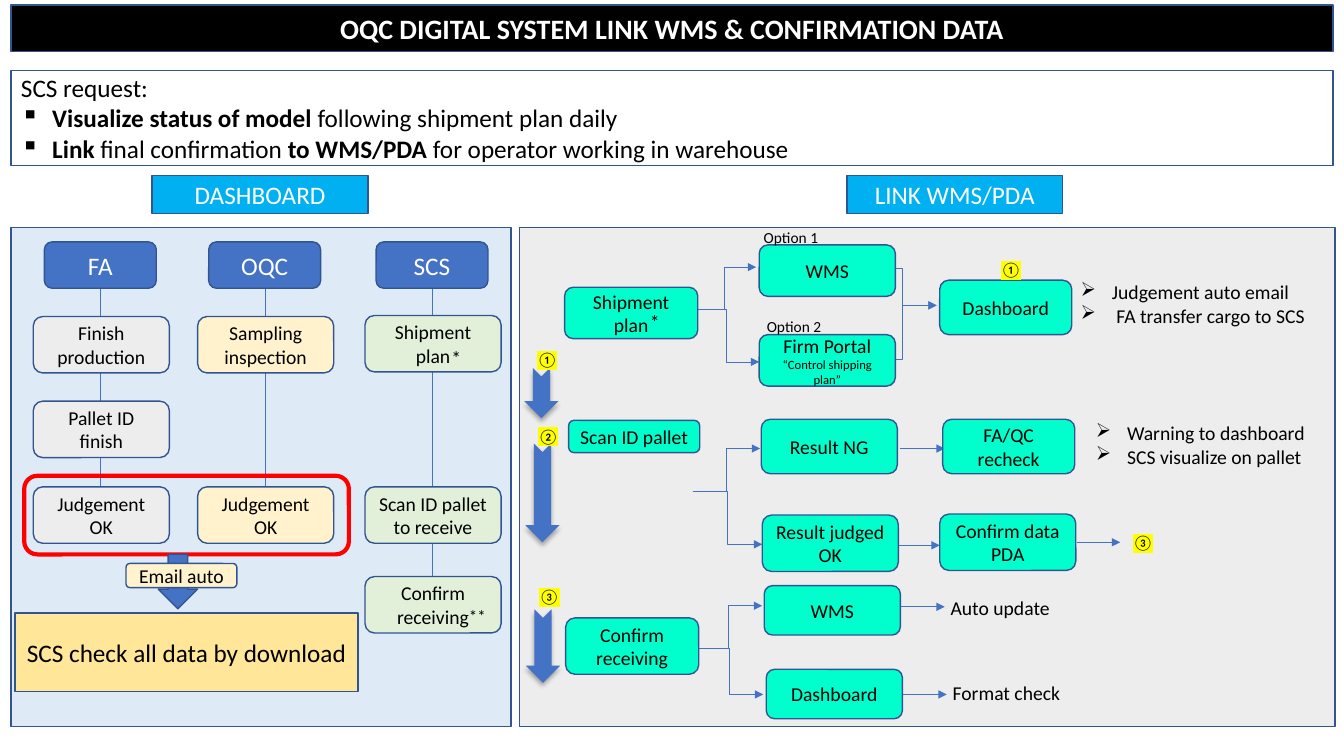
from lxml import etree
from pptx import Presentation
from pptx.dml.color import RGBColor as RGB
from pptx.enum.shapes import MSO_CONNECTOR as Link, MSO_SHAPE as Kind
from pptx.enum.text import MSO_ANCHOR as Anchor, PP_ALIGN as Align
from pptx.oxml.ns import qn
from pptx.util import Inches, Pt

HUES = {
    "black": "000000", "white": "FFFFFF", "navy": "325491", "blue": "4472C4",
    "sky": "00B0F0", "pale": "DEEBF7", "gray": "EDEDED", "cream": "FFF2CC",
    "green": "E2F0D9", "gold": "FFE699", "mint": "00FFCC", "red": "FF0000",
    "yellow": "FFFF00",
}

TITLE = "OQC DIGITAL SYSTEM LINK WMS & CONFIRMATION DATA"
REQUEST = [
    [("Visualize status of model ", True), ("following shipment plan daily", False)],
    [("Link", True), (" final confirmation ", False), ("to WMS/PDA ", True),
     ("for operator working in warehouse", False)],
]
HEADS = [("DASHBOARD", 1.51), ("LINK WMS/PDA", 8.4)]

# head, centre, fill, end of the stem, steps as (text, top)
LANES = [
    ("FA", 1.0, "gray", 5.34,
     [("Finish production", 3.14), ("Pallet ID finish", 3.98), ("Judgement OK", 4.83)]),
    ("OQC", 2.63, "cream", 5.34,
     [("Sampling inspection", 3.14), ("Judgement OK", 4.83)]),
    ("SCS", 4.29, "green", 6.18,
     [("Shipment plan", 3.13), ("Scan ID pallet to receive", 4.83),
      ("Confirm receiving", 5.72)]),
]

# text, left, top, width, height
NODES = [
    ("Shipment plan", 5.6, 2.85, 1.32, 0.51),
    ("WMS", 7.53, 2.43, 1.35, 0.51),
    ("Dashboard", 9.32, 2.78, 1.31, 0.54),
    ("Scan ID pallet", 5.64, 4.17, 1.3, 0.32),
    ("Result NG", 7.55, 4.16, 1.35, 0.54),
    ("FA/QC recheck", 9.35, 4.16, 1.31, 0.54),
    ("Result judged OK", 7.56, 5.11, 1.35, 0.56),
    ("Confirm data PDA", 9.32, 5.1, 1.35, 0.56),
    ("Confirm receiving", 5.61, 6.13, 1.32, 0.56),
    ("WMS", 7.58, 5.81, 1.35, 0.49),
    ("Dashboard", 7.6, 6.64, 1.35, 0.49),
]
PORTAL = ("Firm Portal", "“Control shipping plan”")
OPTIONS = [("Option 1", 7.34, 2.24), ("Option 2", 7.37, 3.12)]

# start, two ends, share of the width before the bend
FORKS = [
    ((6.87, 3.07), (7.5, 2.65), (7.53, 3.59), 0.5),
    ((6.87, 4.87), (7.54, 4.45), (7.56, 5.4), 0.5),
    ((6.89, 6.43), (7.56, 6.01), (7.57, 6.89), 0.5),
]
MERGE = [((8.88, 2.66), (9.29, 3.03)), ((8.88, 3.57), (9.29, 3.03))]
ARROWS = [(8.93, 9.37, 4.45), (8.89, 9.32, 5.41), (10.68, 11.11, 5.38),
          (8.93, 9.37, 6.02), (8.95, 9.39, 6.89)]

MARKS = [("①", 5.17, 3.41), ("②", 5.18, 4.17), ("③", 5.19, 5.76),
         ("①", 9.77, 2.52), ("③", 11.08, 5.23)]
STARS = [("*", 4.32, 3.39, 0.4, 0.31, 14), ("*", 6.29, 3.04, 0.4, 0.31, 14),
         ("**", 4.45, 5.97, 0.57, 0.27, 12)]
PHASES = [(5.12, 3.73, 0.5), (4.89, 4.72, 0.98), (5.02, 6.24, 0.73)]

NOTES = [
    (["Judgement auto email", " FA transfer cargo to SCS"], "➢", 10.62, 2.62, 2.57, 0.78),
    (["Warning to dashboard", "SCS visualize on pallet"], "➢", 10.77, 4.02, 2.45, 0.78),
    (["Auto update"], None, 9.33, 5.74, 1.43, 0.57),
    (["Format check"], None, 9.35, 6.65, 1.38, 0.45),
]

deck = Presentation()
deck.slide_width, deck.slide_height = Inches(13.33), Inches(7.5)
slide = deck.slides.add_slide(deck.slide_layouts[6])
shapes = slide.shapes


def hue(name):
    return RGB.from_string(HUES[name])


def add(host, tag, **attrs):
    return etree.SubElement(host, qn(tag), {k: str(v) for k, v in attrs.items()})


def write(shape, paras, size=14, color="black", bold=False, align=Align.CENTER,
          bullet=None, mark=None, sizes=None):
    """Fill a shape; a paragraph is a string or a list of (text, bold) runs."""
    frame = shape.text_frame
    frame.word_wrap, frame.vertical_anchor = True, Anchor.MIDDLE
    for i, runs in enumerate(paras):
        para = frame.paragraphs[0] if i == 0 else frame.add_paragraph()
        para.alignment = align
        plain = isinstance(runs, str)
        if bullet and not (plain and runs.endswith(":")):
            props = para._p.get_or_add_pPr()
            props.set("marL", str(Inches(0.31)))
            props.set("indent", str(-Inches(0.31)))
            add(props, "a:buChar", char=bullet)
        for text, heavy in [(runs, bold)] if plain else runs:
            run = para.add_run()
            run.text = text
            font = run.font
            font.size = Pt(sizes[i] if sizes else size)
            font.bold, font.color.rgb = heavy, hue(color)
            if mark:
                props = run._r.get_or_add_rPr()
                glow = etree.Element(qn("a:highlight"))
                add(glow, "a:srgbClr", val=HUES[mark])
                props.find(qn("a:solidFill")).addnext(glow)
            font.name = "Calibri"


def box(x, y, w, h, fill=None, line="navy", kind=Kind.ROUNDED_RECTANGLE,
        paras=(), width=1, **style):
    shape = shapes.add_shape(kind, Inches(x), Inches(y), Inches(w), Inches(h))
    shape.shadow.inherit = False
    if fill:
        shape.fill.solid()
        shape.fill.fore_color.rgb = hue(fill)
    else:
        shape.fill.background()
    if line:
        shape.line.color.rgb, shape.line.width = hue(line), Pt(width)
    else:
        shape.line.fill.background()
    if paras:
        write(shape, paras, **style)
    return shape


def wire(start, end, width=0.5, head=True, bend=None):
    """Join two points; bend is the share of the width before the turn."""
    kind = Link.ELBOW if bend else Link.STRAIGHT
    link = shapes.add_connector(kind, *map(Inches, start + end))
    link.line.color.rgb, link.line.width = hue("blue"), Pt(width)
    props = link._element.spPr
    if head:
        add(props.find(qn("a:ln")), "a:tailEnd", type="triangle")
    if bend:
        shape = props.find(qn("a:prstGeom"))
        for old in list(shape):
            shape.remove(old)
        add(add(shape, "a:avLst"), "a:gd", name="adj1", fmla=f"val {round(bend * 100000)}")
    add(props, "a:effectLst")


def main():
    rect = Kind.RECTANGLE
    box(0.11, 0.05, 13.11, 0.46, "black", kind=rect, paras=[TITLE],
        size=20, color="white", bold=True)
    box(0.11, 0.7, 13.11, 0.94, kind=rect, paras=["SCS request:"] + REQUEST,
        size=18, align=Align.LEFT, bullet="▪")
    for text, x in HEADS:
        box(x, 1.74, 2.14, 0.38, "sky", kind=rect, paras=[text], size=18, color="white")
    box(0.11, 2.26, 4.96, 4.95, "pale", kind=rect)
    box(5.15, 2.26, 8.09, 4.95, "gray", kind=rect)

    for name, mid, fill, end, steps in LANES:
        wire((mid, 2.84), (mid, end), head=False)
        box(mid - 0.56, 2.4, 1.11, 0.46, "blue", paras=[name], size=18, color="white")
        for text, y in steps:
            box(mid - 0.67, y, 1.35, 0.56, fill, paras=[text])
    box(0.24, 4.72, 3.22, 0.78, line="red", width=3)
    box(1.57, 5.5, 0.39, 0.54, "blue", kind=Kind.DOWN_ARROW)
    box(0.15, 6.08, 3.4, 0.78, "gold", kind=rect,
        paras=["SCS check all data by download"], size=18)
    box(1.25, 5.59, 1.1, 0.24, "cream", paras=["Email auto"])

    for start, top, low, bend in FORKS:
        wire(start, top, bend=bend)
        wire(start, low, bend=bend)
    for start, end in MERGE:
        wire(start, end, bend=0.17)
    for x, end, y in ARROWS:
        wire((x, y), (end, y), width=1)
    for text, *spot in NODES:
        box(*spot, "mint", paras=[text])
    box(7.53, 3.32, 1.35, 0.51, "mint", paras=PORTAL, sizes=(14, 9))
    for text, x, y in OPTIONS:
        box(x, y, 1.01, 0.23, line=None, paras=[text], size=11)

    for x, y, w in PHASES:
        arrow = box(x, y, w, 0.34, "blue", None, Kind.NOTCHED_RIGHT_ARROW)
        arrow.rotation = 90
        glow = add(arrow._element.spPr.find(qn("a:effectLst")), "a:outerShdw",
                   blurRad=Pt(3.5), dist=Pt(2.2), dir=5400000, rotWithShape=0)
        add(add(glow, "a:srgbClr", val=HUES["black"]), "a:alpha", val=32000)
    for text, x, y in MARKS:
        box(x, y, 0.4, 0.31, line=None, kind=Kind.OVAL, paras=[text],
            size=11, mark="yellow")
    for text, x, y, w, h, size in STARS:
        box(x, y, w, h, line=None, kind=Kind.OVAL, paras=[text], size=size)
    for paras, bullet, *spot in NOTES:
        note = shapes.add_textbox(*map(Inches, spot))
        write(note, paras, align=Align.LEFT, bullet=bullet)
    deck.save("out.pptx")


if __name__ == "__main__":
    main()
